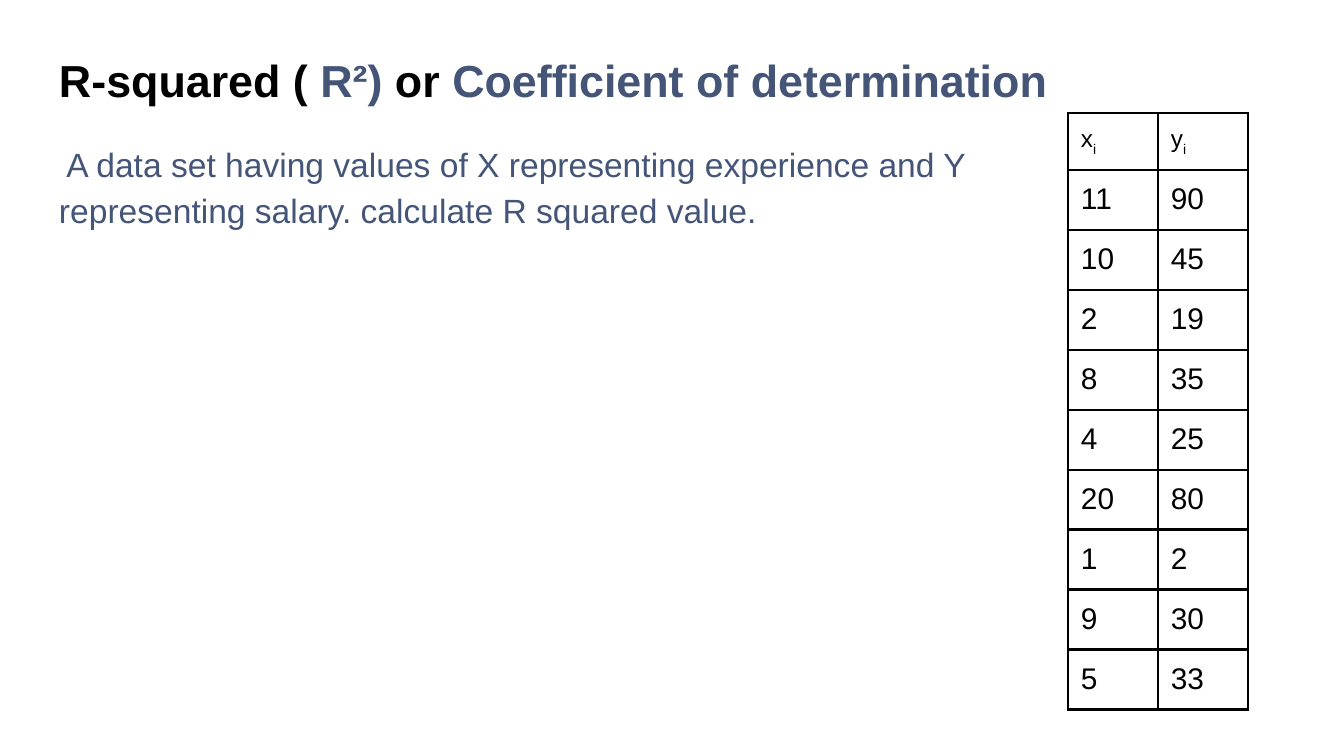
from dataclasses import dataclass

from lxml import etree
from pptx import Presentation
from pptx.dml.color import RGBColor
from pptx.enum.text import MSO_ANCHOR, MSO_AUTO_SIZE, PP_ALIGN
from pptx.oxml.ns import qn
from pptx.util import Emu, Pt

TOP = MSO_ANCHOR.TOP
FIXED = MSO_AUTO_SIZE.NONE
LEFT = PP_ALIGN.LEFT


@dataclass(frozen=True)
class Theme:
    font: str = "Arial"
    ink: RGBColor = RGBColor(0, 0, 0)
    blue: RGBColor = RGBColor(0x44, 0x55, 0x78)
    title: int = 24
    body: int = 18
    head: int = 13
    cell: int = 16
    rule: float = 1.5


THEME = Theme()
PAD = 13
ROWS = [(11, 90), (10, 45), (2, 19), (8, 35), (4, 25),
        (20, 80), (1, 2), (9, 30), (5, 33)]


def px(count):
    return Emu(round(count * 914400 / 134.4))


def style(para, size, color, bold=False):
    font = para.font
    font.name = THEME.font
    font.size = Pt(size)
    font.bold = bold
    font.color.rgb = color


def place(shape, box):
    shape.left, shape.top, shape.width, shape.height = map(px, box)
    frame = shape.text_frame
    frame.word_wrap = True
    frame.auto_size = FIXED
    frame.vertical_anchor = TOP
    frame.margin_left = frame.margin_right = px(PAD)
    frame.margin_top = frame.margin_bottom = px(PAD)
    para = frame.paragraphs[0]
    para.alignment = LEFT
    para.line_spacing = 1.15
    return para


def add_title(slide, box):
    para = place(slide.shapes.title, box)
    para.space_before = Pt(5)
    style(para, THEME.title, THEME.ink, True)
    parts = [("R-squared (", THEME.ink), (" R²)", THEME.blue),
             (" or ", THEME.ink), ("Coefficient of determination", THEME.blue)]
    for text, color in parts:
        run = para.add_run()
        run.text = text
        run.font.color.rgb = color


def add_body(slide, box):
    para = place(slide.placeholders[1], box)
    para.space_before = Pt(0)
    para.space_after = Pt(12)
    props = para._p.get_or_add_pPr()
    props.set("marL", "0")
    props.set("indent", "0")
    etree.SubElement(props, qn("a:buNone"))
    style(para, THEME.body, THEME.blue)
    para.add_run().text = (" A data set having values of X representing experience "
                           "and Y representing salary. calculate R squared value.")


def edge(cell):
    props = cell._tc.get_or_add_tcPr()
    for side in ("lnL", "lnR", "lnT", "lnB"):
        line = etree.SubElement(props, qn(f"a:{side}"), w=str(Pt(THEME.rule)))
        fill = etree.SubElement(line, qn("a:solidFill"))
        etree.SubElement(fill, qn("a:srgbClr"), val=str(THEME.ink))


def fill_cell(cell, text, size, sub=""):
    edge(cell)
    cell.fill.background()
    cell.margin_left = cell.margin_right = px(PAD)
    cell.margin_top = cell.margin_bottom = px(PAD)
    para = cell.text_frame.paragraphs[0]
    style(para, size, THEME.ink)
    para.add_run().text = text
    if sub:
        run = para.add_run()
        run.text = sub
        run.font._element.set("baseline", "-25000")


def add_data(slide, box):
    left, top, width, height = box
    head = 57
    step = (height - head) // len(ROWS)
    table = slide.shapes.add_table(len(ROWS) + 1, 2, *map(px, box)).table
    table.first_row = False
    table.horz_banding = False
    for col in table.columns:
        col.width = px(width // 2)
    for row in table.rows:
        row.height = px(step)
    table.rows[0].height = px(head)
    for c, name in enumerate("xy"):
        fill_cell(table.cell(0, c), name, THEME.head, "i")
    for r, pair in enumerate(ROWS, 1):
        for c, value in enumerate(pair):
            fill_cell(table.cell(r, c), str(value), THEME.cell)


def main():
    deck = Presentation()
    deck.slide_width, deck.slide_height = px(1344), px(756)
    slide = deck.slides.add_slide(deck.slide_layouts[1])
    add_body(slide, (46, 125, 953, 503))
    add_title(slide, (46, 32, 1253, 85))
    add_data(slide, (1068, 113, 180, 597))
    deck.save("out.pptx")


if __name__ == "__main__":
    main()
